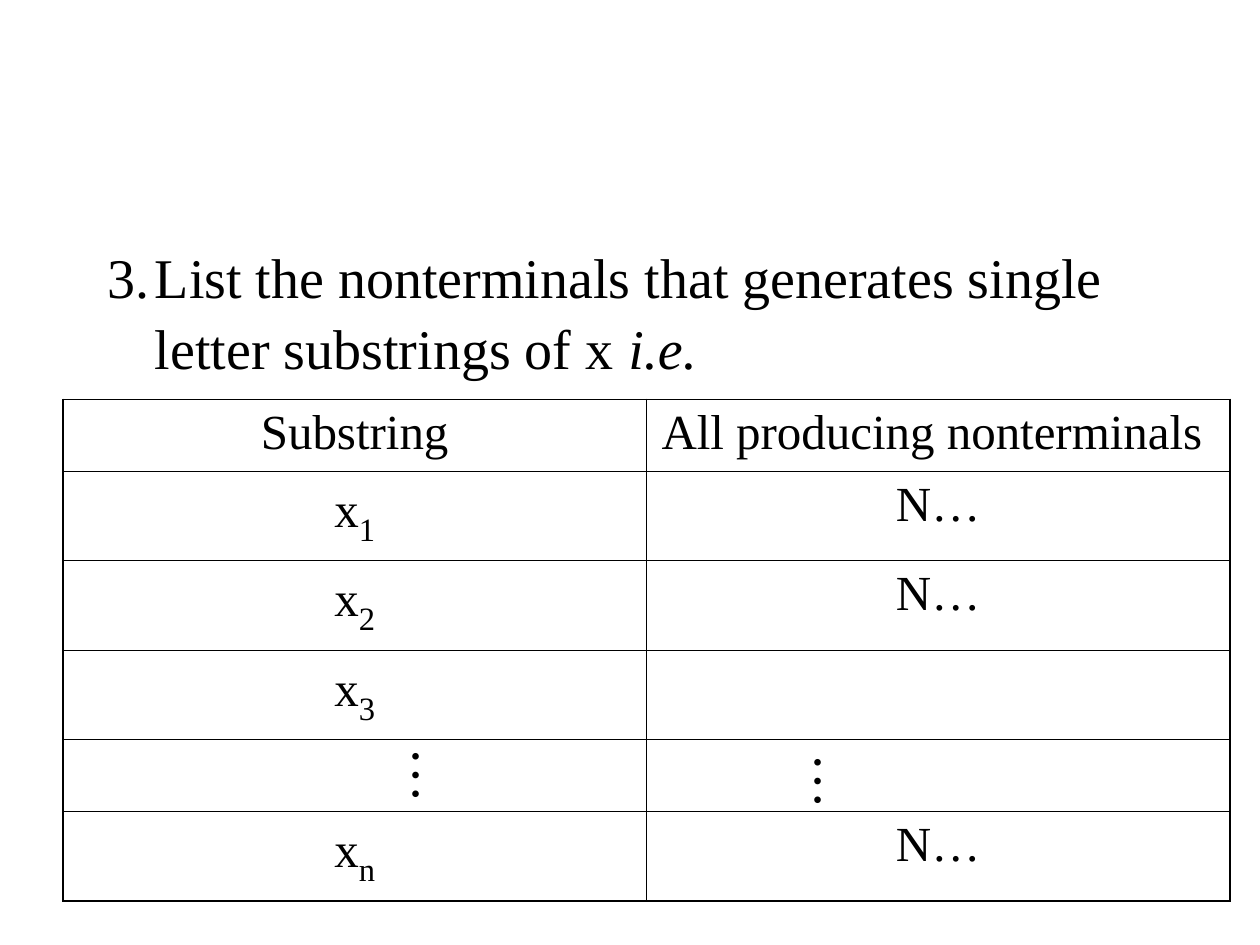
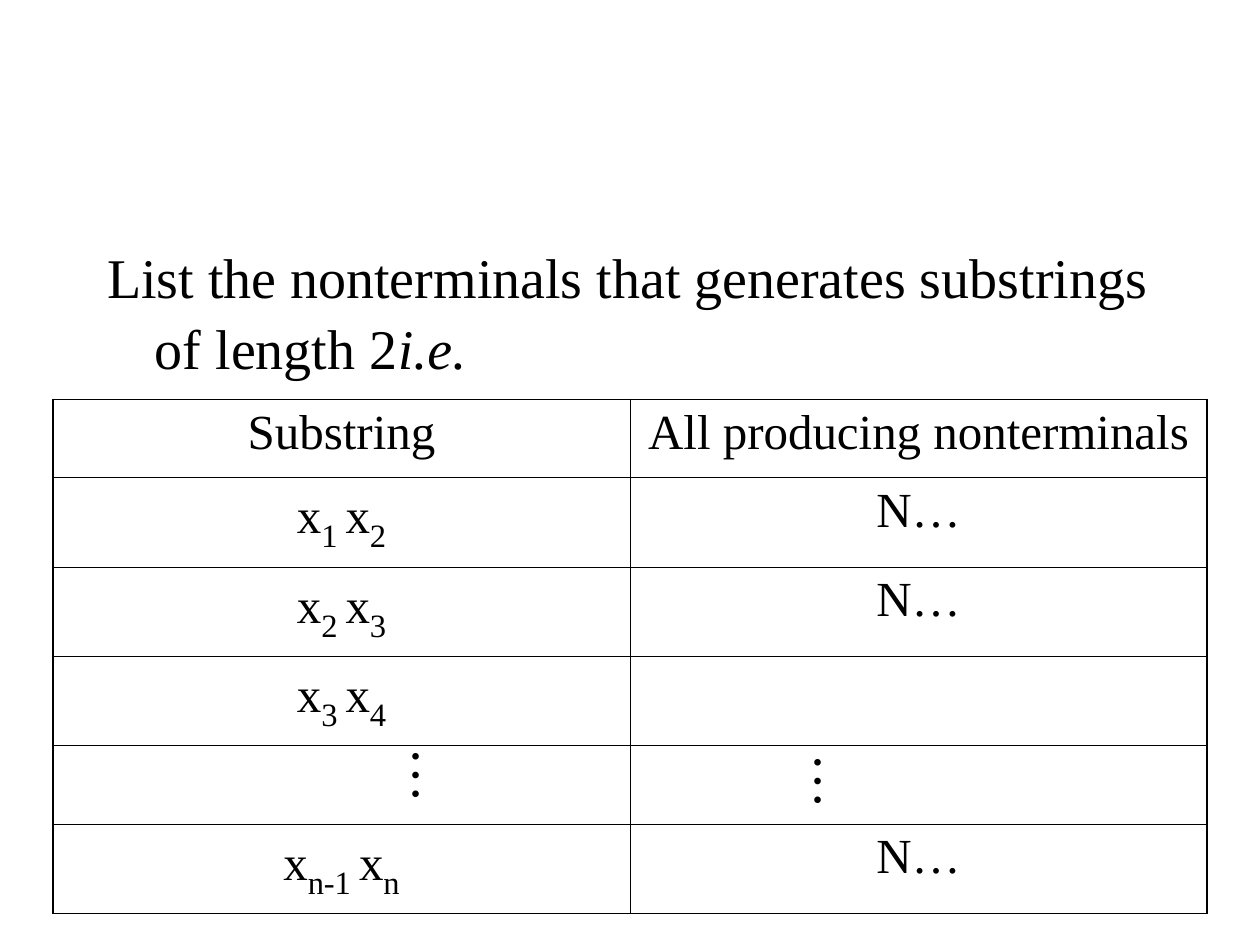
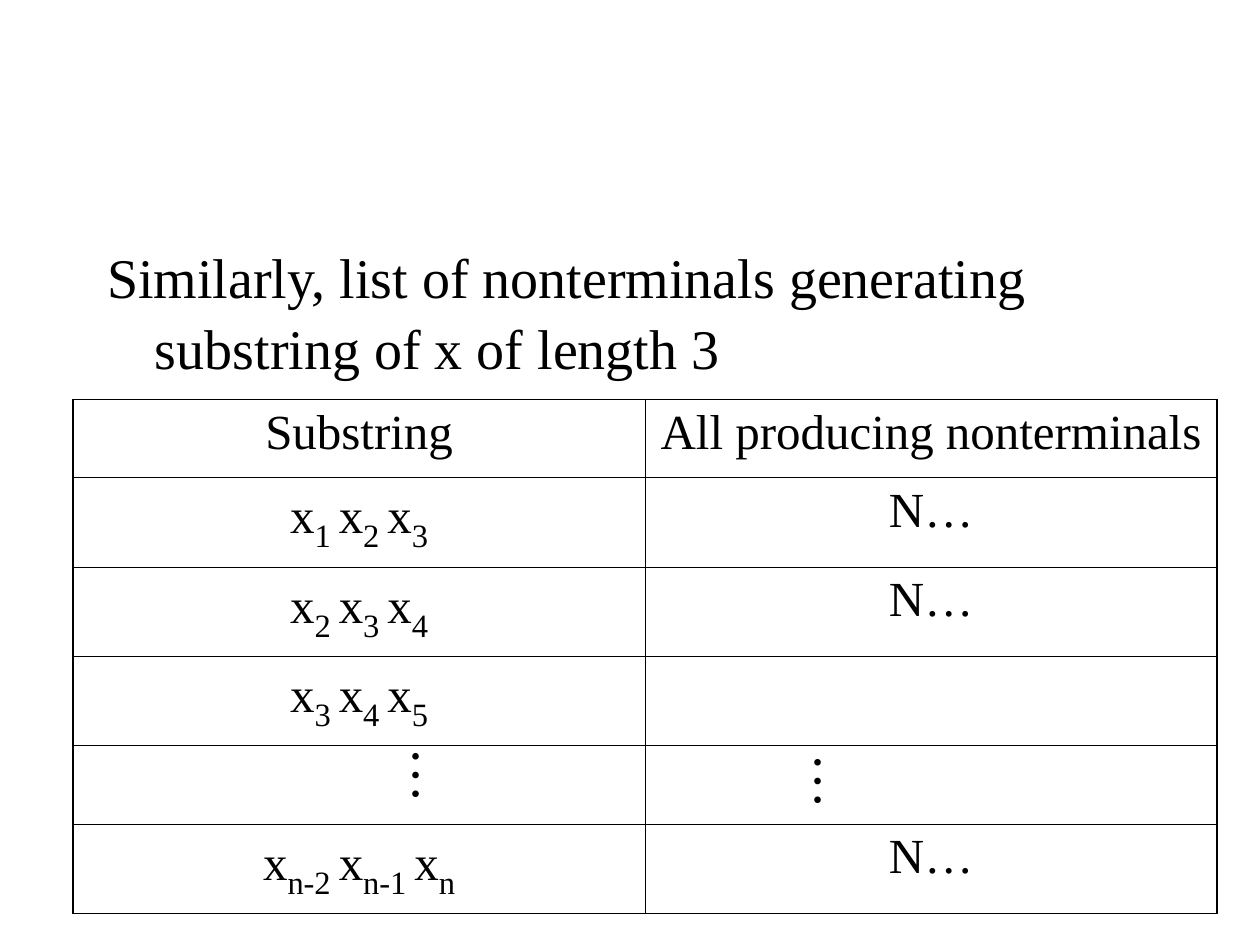
"""Build three slides that list the nonterminals producing ever longer substrings."""
from dataclasses import dataclass

import lxml.etree
import pptx
import pptx.dml.color
import pptx.enum.text
import pptx.oxml.ns
import pptx.presentation
import pptx.slide
import pptx.table
import pptx.text.text
import pptx.util
from pptx.util import Inches

INK = "000000"
FONT = "Times New Roman"
LARGE, MEDIUM = 32, 28
OUTER_LINE, INNER_LINE = 1.08, 0.45
HEADINGS = ("Substring", "All producing nonterminals ")
PRODUCERS = ("N…", "N…", "", "", "N…")
ELLIPSIS_CORNERS = ((3.11, 5.86), (6.3, 5.91))


@dataclass(frozen=True)
class Step:
    """One slide: its instruction and the table for one substring length."""

    instruction: str
    emphasis: str
    length: int
    left: float
    column_width: float
    short_row: float


STEPS = (
    Step("3.\tList the nonterminals that generates single letter substrings of x ",
         "i.e.", 1, 0.5, 4.63, 0.57),
    Step("List the nonterminals that generates substrings of length 2",
         "i.e.", 2, 0.42, 4.58, 0.62),
    Step("Similarly, list of nonterminals generating substring of x of length 3",
         "", 3, 0.58, 4.54, 0.62),
)


def color(value: str) -> pptx.dml.color.RGBColor:
    """Turn a hex string into a colour."""
    return pptx.dml.color.RGBColor.from_string(value)


def style(paragraph: pptx.text.text._Paragraph, size: float) -> None:
    """Give a paragraph the shared typeface and colour."""
    paragraph.font.name = FONT
    paragraph.font.size = pptx.util.Pt(size)
    paragraph.font.color.rgb = color(INK)


def add_instruction(slide: pptx.slide.Slide, step: Step) -> None:
    """Fill the body placeholder with the hanging instruction."""
    title = slide.shapes.title
    title.element.getparent().remove(title.element)
    body = slide.placeholders[1]
    body.left, body.top = Inches(0.75), Inches(1.85)
    body.width, body.height = Inches(8.5), Inches(4.5)
    body.text_frame.auto_size = pptx.enum.text.MSO_AUTO_SIZE.NONE
    paragraph = body.text_frame.paragraphs[0]
    properties = paragraph._p.get_or_add_pPr()
    properties.set("marL", str(Inches(0.38)))
    properties.set("indent", str(Inches(-0.38)))
    lxml.etree.SubElement(properties, pptx.oxml.ns.qn("a:buNone"))
    style(paragraph, LARGE)
    paragraph.space_before = pptx.util.Pt(0)
    paragraph.line_spacing = 1.05
    paragraph.add_run().text = step.instruction
    if step.emphasis:
        emphasis = paragraph.add_run()
        emphasis.text = step.emphasis
        emphasis.font.italic = True


def substring_indices(length: int) -> list[list[str]]:
    """List the indices in each row; the row of dots has none."""
    first = [[str(start + offset) for offset in range(length)] for start in (1, 2, 3)]
    last = [f"n-{back}" if back else "n" for back in reversed(range(length))]
    return [*first, [], last]


def write_substring(paragraph: pptx.text.text._Paragraph, indices: list[str]) -> None:
    """Write x with a subscript for each index."""
    for position, index in enumerate(indices, start=1):
        paragraph.add_run().text = "x"
        subscript = paragraph.add_run()
        subscript.text = index if position == len(indices) else f"{index} "
        subscript.font.size = pptx.util.Pt(LARGE)
        subscript._r.get_or_add_rPr().set("baseline", "-25000")


def set_border(cell: pptx.table._Cell, side: str, width: float) -> None:
    """Draw one side of a cell."""
    qn = pptx.oxml.ns.qn
    line = lxml.etree.SubElement(cell._tc.get_or_add_tcPr(), qn(f"a:{side}"),
                                 w=str(pptx.util.Pt(width)))
    fill = lxml.etree.SubElement(line, qn("a:solidFill"))
    lxml.etree.SubElement(fill, qn("a:srgbClr"), val=INK)


def add_substring_table(slide: pptx.slide.Slide, step: Step) -> None:
    """Draw the table of substrings and their producers."""
    heights = [step.short_row, 0.71, 0.71, 0.71, step.short_row, 0.71]
    table = slide.shapes.add_table(
        len(heights), 2, Inches(step.left), Inches(3.17),
        Inches(2 * step.column_width), Inches(sum(heights))).table
    table.first_row = table.horz_banding = False
    for row, height in zip(table.rows, heights):
        row.height = Inches(height)
    substrings = substring_indices(step.length)
    last_row = len(heights) - 1
    for row in range(len(heights)):
        for column in range(2):
            cell = table.cell(row, column)
            paragraph = cell.text_frame.paragraphs[0]
            paragraph.alignment = pptx.enum.text.PP_ALIGN.CENTER
            style(paragraph, MEDIUM)
            if row == 0:
                paragraph.add_run().text = HEADINGS[column]
            elif column == 0:
                write_substring(paragraph, substrings[row - 1])
            elif PRODUCERS[row - 1]:
                paragraph.add_run().text = PRODUCERS[row - 1]
            outer_sides = {"lnL": column == 0, "lnR": column == 1,
                           "lnT": row == 0, "lnB": row == last_row}
            for side, is_outer in outer_sides.items():
                set_border(cell, side, OUTER_LINE if is_outer else INNER_LINE)
            cell.fill.background()


def add_ellipsis(slide: pptx.slide.Slide, left: float, top: float) -> None:
    """Stand an ellipsis upright in the row of dots."""
    dots = slide.shapes.add_textbox(Inches(left), Inches(top), Inches(0.69), Inches(0.64))
    dots.rotation = 90
    dots.text_frame.word_wrap = True
    dots.text_frame.auto_size = pptx.enum.text.MSO_AUTO_SIZE.SHAPE_TO_FIT_TEXT
    paragraph = dots.text_frame.paragraphs[0]
    style(paragraph, LARGE)
    paragraph.add_run().text = "…"


def add_step(presentation: pptx.presentation.Presentation, step: Step) -> None:
    """Add the slide for one step."""
    slide = presentation.slides.add_slide(presentation.slide_layouts[1])
    add_instruction(slide, step)
    add_substring_table(slide, step)
    for left, top in ELLIPSIS_CORNERS:
        add_ellipsis(slide, left, top)


def main() -> None:
    """Build and save the presentation."""
    presentation = pptx.Presentation()
    presentation.slide_width, presentation.slide_height = Inches(10), Inches(7.5)
    for step in STEPS:
        add_step(presentation, step)
    presentation.save("out.pptx")


if __name__ == "__main__":
    main()
